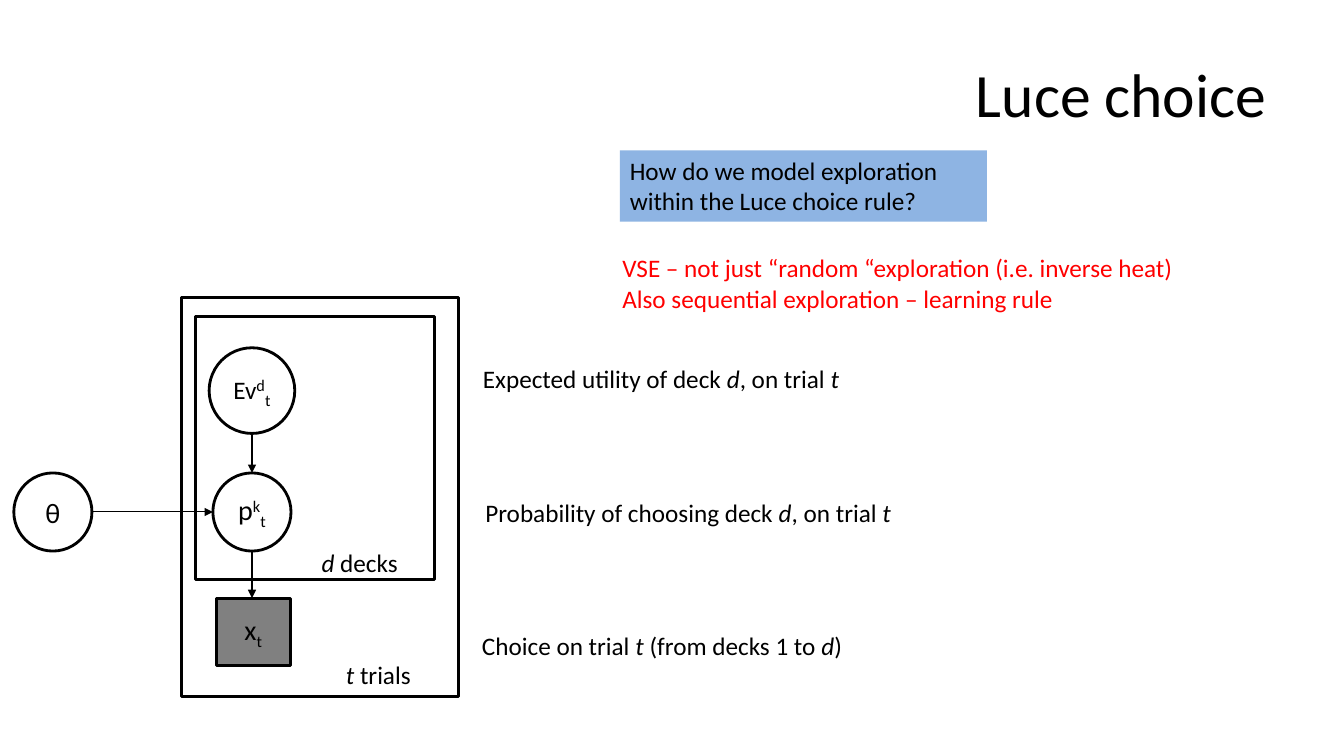
from dataclasses import dataclass
from typing import NamedTuple

from lxml.etree import SubElement
from pptx import Presentation
from pptx.dml.color import RGBColor as RGB
from pptx.enum.shapes import MSO_CONNECTOR as Conn, MSO_SHAPE as Geo
from pptx.enum.text import MSO_ANCHOR as Anchor, MSO_AUTO_SIZE as Fit, PP_ALIGN as Align
from pptx.oxml.ns import qn
from pptx.util import Emu, Inches, Pt


@dataclass(frozen=True)
class Theme:
    font: str = "Calibri"
    ink: RGB = RGB(0, 0, 0)
    accent: RGB = RGB(0xFF, 0, 0)
    observed: RGB = RGB(0x80, 0x80, 0x80)
    panel: RGB = RGB(0x8E, 0xB4, 0xE3)
    title: int = 44
    node: int = 20
    body: int = 18
    outline: float = 2
    arrow: float = 0.75


class Run(NamedTuple):
    text: str
    italic: bool = False
    base: int = 0
    size: int | None = None


class Box(NamedTuple):
    """Left, top, width and height in grid columns and rows."""
    col: float
    row: float
    cols: float
    rows: float


class Node(NamedTuple):
    """A variable of the model, placed by its centre."""
    col: float
    row: float
    cols: float
    rows: float
    runs: list[Run]
    geo: Geo = Geo.OVAL
    fill: RGB | None = None


class Label(NamedTuple):
    box: Box
    paras: list[list[Run]]
    size: int
    color: RGB
    fill: RGB | None = None
    align: Align = Align.LEFT
    anchor: Anchor = Anchor.TOP
    fit: Fit = Fit.SHAPE_TO_FIT_TEXT


class Arrow(NamedTuple):
    start: tuple[float, float]
    end: tuple[float, float]


T = Theme()
COLS, ROWS = 160, 90
prs = Presentation()
prs.slide_width, prs.slide_height = Inches(13.33), Inches(7.5)
s = prs.slides.add_slide(prs.slide_layouts[6])


def x(col: float) -> Emu:
    return Emu(round(prs.slide_width * col / COLS))


def y(row: float) -> Emu:
    return Emu(round(prs.slide_height * row / ROWS))


def place(box: Box) -> tuple[Emu, Emu, Emu, Emu]:
    return x(box.col), y(box.row), x(box.cols), y(box.rows)


def write(p, runs: list[Run], size: int, color: RGB, align: Align) -> None:
    p.alignment = align
    p.font.name, p.font.size = T.font, Pt(size)
    p.font.color.rgb = color
    for run in runs:
        r = p.add_run()
        r.text = run.text
        if run.italic:
            r.font.italic = True
        if run.size:
            r.font.size = Pt(run.size)
        if run.base:
            r.font._element.set("baseline", str(run.base * 1000))


def add_outline(geo: Geo, box: Box, fill: RGB | None = None):
    sp = s.shapes.add_shape(geo, *place(box))
    sp.shadow.inherit = False
    sp.line.color.rgb, sp.line.width = T.ink, Pt(T.outline)
    if fill is None:
        sp.fill.background()
    else:
        sp.fill.solid()
        sp.fill.fore_color.rgb = fill
    return sp


def add_node(n: Node) -> None:
    box = Box(n.col - n.cols / 2, n.row - n.rows / 2, n.cols, n.rows)
    tf = add_outline(n.geo, box, n.fill).text_frame
    tf.word_wrap, tf.vertical_anchor = False, Anchor.MIDDLE
    write(tf.paragraphs[0], n.runs, T.node, T.ink, Align.CENTER)


def add_label(label: Label) -> None:
    sp = s.shapes.add_textbox(*place(label.box))
    if label.fill is not None:
        sp.fill.solid()
        sp.fill.fore_color.rgb = label.fill
    tf = sp.text_frame
    tf.word_wrap, tf.auto_size, tf.vertical_anchor = True, label.fit, label.anchor
    for i, runs in enumerate(label.paras):
        p = tf.add_paragraph() if i else tf.paragraphs[0]
        write(p, runs, label.size, label.color, label.align)


def add_arrow(a: Arrow) -> None:
    c = s.shapes.add_connector(Conn.STRAIGHT, x(a.start[0]), y(a.start[1]),
                               x(a.end[0]), y(a.end[1]))
    c.line.color.rgb, c.line.width = T.ink, Pt(T.arrow)
    SubElement(c.line._get_or_add_ln(), qn("a:tailEnd"), type="triangle")
    SubElement(c._element.spPr, qn("a:effectLst"))


def down(upper: Node, lower: Node) -> Arrow:
    return Arrow((upper.col, upper.row + upper.rows / 2),
                 (upper.col, lower.row - lower.rows / 2))


def across(left: Node, right: Node) -> Arrow:
    return Arrow((left.col + left.cols / 2, left.row),
                 (right.col - right.cols / 2, right.row))


def note(col: float, row: float, cols: float, *runs: Run) -> Label:
    return Label(Box(col, row, cols, 4.8), [list(runs)], T.body, T.ink)


deck, trial = Run("d", italic=True), Run("t", italic=True)
on_trial, sub_t = Run(", on trial "), Run("t", base=-25)

utility = Node(30, 46.5, 10.2, 10.2, [Run("Ev", size=T.body), Run("d", base=30), sub_t])
probability = Node(30, 60.95, 9.3, 9.3, [Run("p"), Run("k", base=30), sub_t])
choice = Node(30.15, 75.2, 8.8, 8, [Run("x"), sub_t], Geo.RECTANGLE, T.observed)
theta = Node(6.3, 60.95, 9.3, 9.3, [Run("θ")])

deck_plate = Box(23.3, 37.7, 28.45, 31.3)
trial_plate = Box(21.6, 35.4, 33, 47.5)

labels = [
    Label(Box(8, 3.6, 144, 15), [[Run("Luce choice")]], T.title, T.ink,
          align=Align.RIGHT, anchor=Anchor.MIDDLE, fit=Fit.NONE),
    note(56.2, 74.4, 48.6, Run("Choice on trial "), trial,
         Run(" (from decks 1 to "), deck, Run(")")),
    note(56.6, 58.6, 56.4, Run("Probability of choosing deck "), deck, on_trial, trial),
    note(56.3, 42.7, 56.4, Run("Expected utility of deck "), deck, on_trial, trial),
    note(37.1, 64.6, 14.6, Run("d ", italic=True), Run("decks")),
    note(40, 77.9, 14.6, Run("t ", italic=True), Run("trials")),
    Label(Box(73.8, 17.9, 43.7, 8.5),
          [[Run("How do we model exploration within the Luce choice rule?")]],
          T.body, T.ink, T.panel),
    Label(Box(72.9, 29.5, 73.1, 8.5),
          [[Run("VSE – not just “random “exploration (i.e. inverse heat)")],
           [Run("Also sequential exploration – learning rule")]],
          T.body, T.accent),
]

for node in (probability, choice, utility, theta):
    add_node(node)
for arrow in (down(utility, probability), down(probability, choice),
              across(theta, probability)):
    add_arrow(arrow)
for plate in (deck_plate, trial_plate):
    add_outline(Geo.RECTANGLE, plate)
for label in labels:
    add_label(label)

prs.save("out.pptx")
